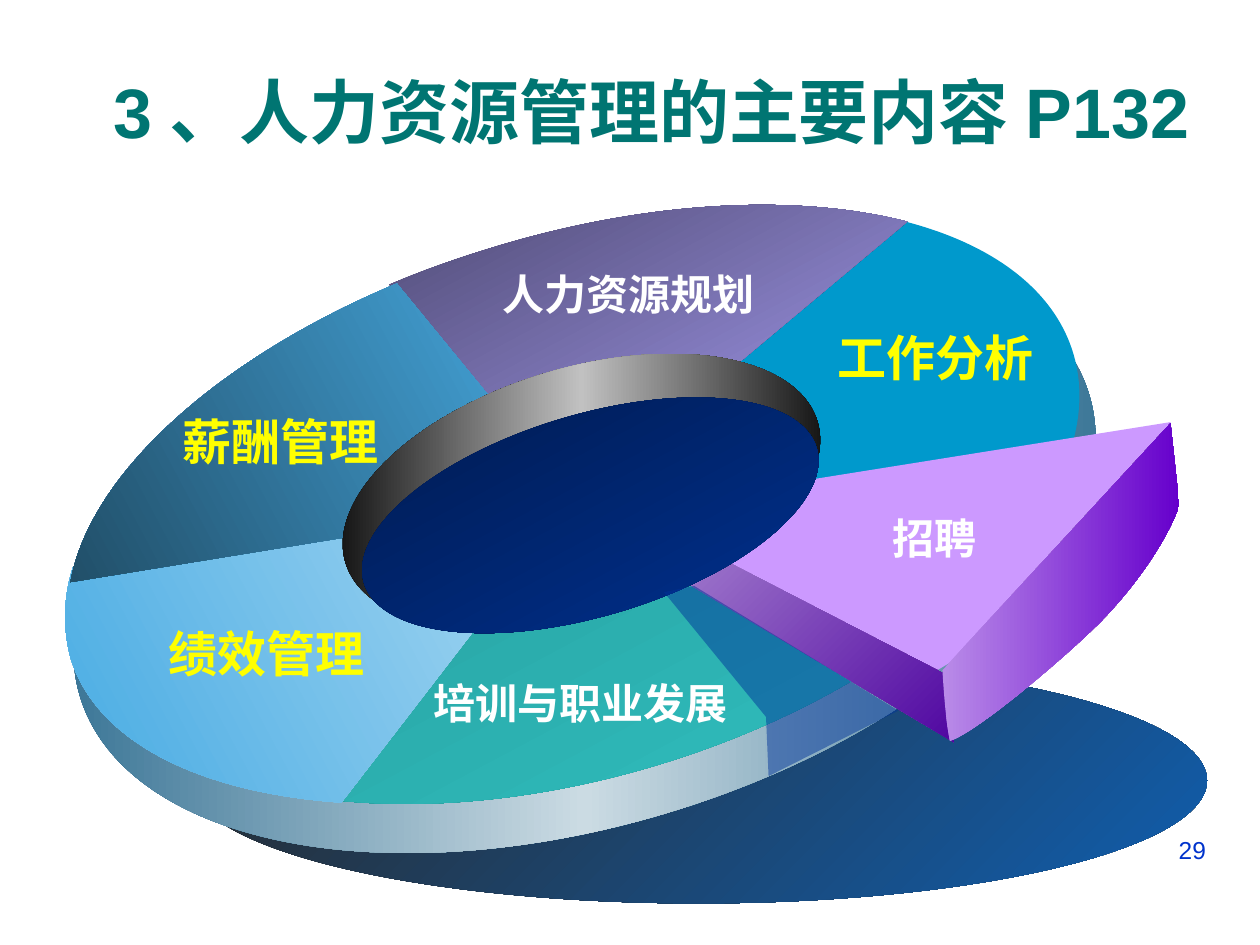
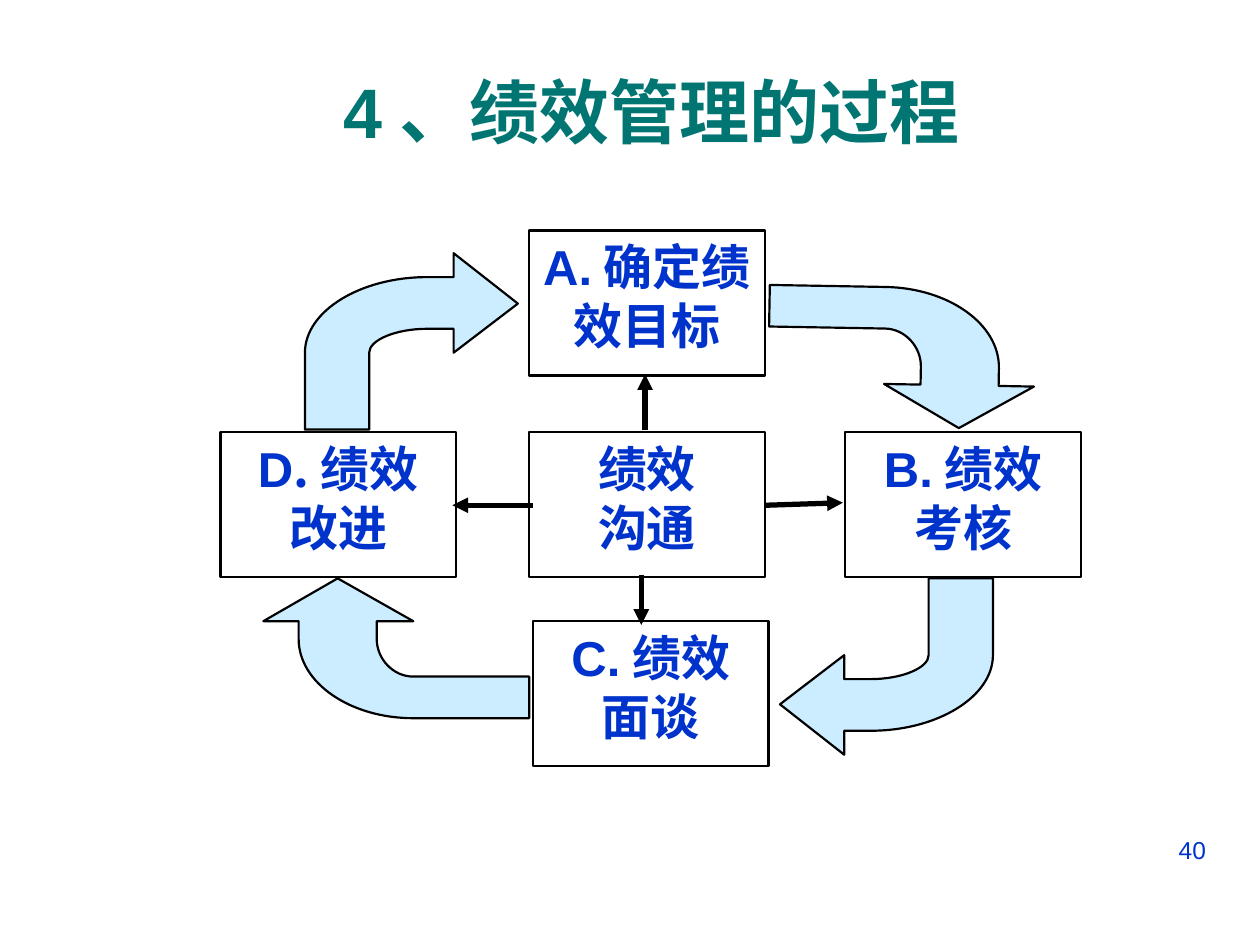
from pptx import Presentation
from pptx.dml.color import RGBColor
from pptx.enum.shapes import MSO_CONNECTOR, MSO_SHAPE
from pptx.enum.text import MSO_ANCHOR, MSO_AUTO_SIZE, PP_ALIGN
from pptx.oxml.ns import qn
from pptx.util import Cm, Pt
from lxml.etree import SubElement

TEAL = RGBColor(0x00, 0x75, 0x72)
BLUE = RGBColor(0x00, 0x33, 0xCC)
NAVY = RGBColor(0x00, 0x33, 0x99)
SKY = RGBColor(0x00, 0x99, 0xCC)
LILAC = RGBColor(0xCC, 0x99, 0xFF)
PALE = RGBColor(0xCC, 0xEC, 0xFF)
YELLOW = RGBColor(0xFF, 0xFF, 0x00)
WHITE = RGBColor(0xFF, 0xFF, 0xFF)
BLACK = RGBColor(0x00, 0x00, 0x00)

LATIN, LABEL, CJK = "Arial", "DejaVu Sans", "Noto Sans CJK JP"
TITLE_FMT = {"size": Pt(40), "bold": True, "name": LATIN}
NUMBER_FMT = {"size": Pt(14), "name": LATIN}
BOX_FMT = {"size": Pt(28), "bold": True}

TILT = 343.4
HUB = (4.56, 3.97)
SHADOW = ((1.51, 5.22, 8.07, 1.95), 0, ("292929", "105EAE"), 45)
RIM = ((0.46, 2.11, 8.36, 4.44), TILT, ("29698D", "CBDBE3", "29698D"), 0)
DISC = ((0.54, 1.87, 8.07, 4.3), TILT, ("208282", "33CCCC"), 62)
HOLE_WALL = ((2.66, 2.92, 3.91, 1.97), TILT, ("000000", "C1C1C1", "000000"), 0)
HOLE = ((2.81, 3.29, 3.75, 1.6), TILT, ("001847", "003399"), 62)

WEDGES = [
    ([(7.11, 1.74), (7.87, 1.92, 8.37, 2.3, 8.52, 2.81),
      (8.6, 3.08, 8.58, 3.38, 8.45, 3.7), HUB], SKY),
    ([(0.58, 4.5), (0.5, 4.75, 0.5, 4.99, 0.56, 5.22),
      (0.76, 5.87, 1.55, 6.29, 2.71, 6.37), HUB], (("ABD9F2", "47ABE3"), 152)),
    ([(3.09, 2.26), (3.37, 2.14, 3.66, 2.04, 3.96, 1.95),
      (5.13, 1.6, 6.31, 1.53, 7.2, 1.76), HUB], (("4F4A73", "AAA0F8"), 62)),
    ([(3.15, 2.25), (1.72, 2.85, 0.71, 3.77, 0.56, 4.62), HUB],
     (("47ABE3", "214F69"), 152)),
]
SLICE_TOP = [(9.29, 3.35), (9.11, 4.02, 8.43, 4.74, 7.42, 5.33), (4.97, 4.04)]
SLICE_SIDE = [(7.48, 5.34), (7.57, 5.89), (5.17, 4.46), (5.02, 4.07)]
SLICE_EDGE = [(7.48, 5.32), (9.29, 3.36), (9.36, 4.01),
              (9.27, 4.27, 9.04, 4.62, 8.74, 4.93),
              (8.43, 5.24, 7.75, 5.81, 7.54, 5.88), (7.5, 5.71, 7.48, 5.32, 7.48, 5.32)]
GAP_SHADE = [(5.27, 4.7), (6.08, 5.69), (6.1, 6.16), (7.13, 5.64), (5.51, 4.65)]

LABELS = [
    ("薪酬管理", (1.35, 3.22, 1.75, 0.57), 28, YELLOW),
    ("人力资源规划", (3.89, 2.08, 2.2, 0.5), 24, WHITE),
    ("工作分析", (6.55, 2.55, 1.75, 0.57), 28, YELLOW),
    ("培训与职业发展", (3.34, 5.33, 2.53, 0.5), 24, WHITE),
    ("绩效管理", (1.24, 4.9, 1.75, 0.57), 28, YELLOW),
    ("招聘", (6.98, 4.02, 0.88, 0.5), 24, WHITE),
]

BOX_W, BOX_H = 1.87, 1.15
STEPS = [
    ((4.2, 1.83), [[("A.", LATIN), ("确定绩效目标", CJK)]]),
    ((6.71, 3.43), [[("B.", LATIN), ("绩效", CJK)], [("考核", CJK)]]),
    ((4.2, 3.43), [[("绩效", CJK)], [("沟通", CJK)]]),
    ((1.75, 3.43), [[("D", LATIN), (".绩效", CJK)], [("改进", CJK)]]),
    ((4.23, 4.93), [[("C.", LATIN), ("绩效", CJK)], [("面谈", CJK)]]),
]
TURN_UP = [(4.11, 2.41), (3.6, 2.01), (3.6, 2.2), (3.39, 2.2),
           (2.86, 2.2, 2.42, 2.47, 2.42, 2.8), (2.42, 3.41), (2.93, 3.41), (2.93, 2.8),
           (2.93, 2.7, 3.14, 2.61, 3.39, 2.61), (3.6, 2.61), (3.6, 2.8)]
TURN_BACK = [(2.68, 4.59), (2.09, 4.93), (2.37, 4.93), (2.37, 5.07),
             (2.37, 5.42, 2.78, 5.7, 3.28, 5.7), (4.2, 5.7), (4.2, 5.37), (3.28, 5.37),
             (3.12, 5.37, 2.99, 5.23, 2.99, 5.07), (2.99, 4.93), (3.28, 4.93)]
SPOKES = [(5.12, 3.41, 5.12, 2.97), (5.09, 4.56, 5.09, 4.96),
          (6.08, 4.01, 6.69, 3.99), (4.23, 4.01, 3.59, 4.01)]


def inches(*values):
    return [Cm(v * 2.54) for v in values]


def style(r, fmt, color):
    for key, value in fmt.items():
        setattr(r.font, key, value)
    r.font.color.rgb = color
    SubElement(r.font._element, qn("a:ea")).set("typeface", CJK)


def paint(sp, fill, line=None):
    sp.shadow.inherit = False
    if fill is None:
        sp.fill.background()
    elif isinstance(fill, RGBColor):
        sp.fill.solid()
        sp.fill.fore_color.rgb = fill
    else:
        colors, angle = fill
        sp.fill.gradient()
        grad = sp._element.spPr.find(qn("a:gradFill"))
        grad.set("rotWithShape", "0")
        stops = grad.find(qn("a:gsLst"))
        for stop in list(stops):
            stops.remove(stop)
        for i, color in enumerate(colors):
            stop = SubElement(stops, qn("a:gs"), pos=str(i * 100000 // (len(colors) - 1)))
            SubElement(stop, qn("a:srgbClr"), val=color)
        grad.find(qn("a:lin")).set("ang", str(angle * 60000))
    if line is None:
        sp.line.fill.background()
    else:
        sp.line.color.rgb = line
        sp.line.width = Pt(1.25)


def outline(s, parts, fill, line=None):
    points = [inches(*part[i:i + 2]) for part in parts for i in range(0, len(part), 2)]
    builder = s.shapes.build_freeform(*points[0], scale=1.0)
    builder.add_line_segments(points[1:], close=True)
    sp = builder.convert_to_shape()
    geometry = next(sp._element.iter(qn("a:path")))
    segments = iter(geometry.findall(qn("a:lnTo")))
    for part in parts[1:]:
        first = next(segments)
        if len(part) == 6:
            curve = SubElement(geometry, qn("a:cubicBezTo"))
            first.addprevious(curve)
            for segment in (first, next(segments), next(segments)):
                curve.append(segment[0])
                geometry.remove(segment)
    paint(sp, fill, line)
    return sp


def ellipse(s, box, rotation, colors, angle):
    sp = s.shapes.add_shape(MSO_SHAPE.OVAL, *inches(*box))
    sp.rotation = rotation
    paint(sp, (colors, angle))


def write(tf, paragraphs, fmt, color, align):
    for i, runs in enumerate(paragraphs):
        p = tf.paragraphs[0] if i == 0 else tf.add_paragraph()
        p.alignment = align
        for text, font in runs:
            r = p.add_run()
            r.text = text
            style(r, {**fmt, "name": font}, color)


def text_box(s, text, box, fmt, color, align, wrap):
    tf = s.shapes.add_textbox(*inches(*box)).text_frame
    tf.word_wrap = wrap
    tf.auto_size = MSO_AUTO_SIZE.NONE if wrap else MSO_AUTO_SIZE.SHAPE_TO_FIT_TEXT
    write(tf, [[(text, fmt["name"])]], fmt, color, align)


def new_slide(prs, title, number):
    s = prs.slides.add_slide(prs.slide_layouts[5])
    sp = s.shapes.title
    sp.left, sp.top, sp.width, sp.height = inches(0.5, 0.42, 9.34, 0.92)
    tf = sp.text_frame
    for key, value in {"word_wrap": True, "auto_size": MSO_AUTO_SIZE.NONE,
                       "vertical_anchor": MSO_ANCHOR.MIDDLE}.items():
        setattr(tf, key, value)
    write(tf, [[(title, LATIN)]], TITLE_FMT, TEAL, PP_ALIGN.CENTER)
    text_box(s, number, (7.17, 6.58, 2.5, 0.52), NUMBER_FMT, BLUE, PP_ALIGN.RIGHT, True)
    return s


def mirror(parts, *sums):
    return [tuple(sums[i % 2] - v for i, v in enumerate(part)) for part in parts]


def content_slide(prs):
    s = new_slide(prs, "3、人力资源管理的主要内容P132", "29")
    for oval in (SHADOW, RIM, DISC):
        ellipse(s, *oval)
    for parts, fill in WEDGES:
        outline(s, parts, fill)
    ellipse(s, *HOLE_WALL)
    outline(s, SLICE_TOP, LILAC)
    outline(s, SLICE_SIDE, (("AF8ED4", "5007A1"), 45))
    ellipse(s, *HOLE)
    outline(s, SLICE_EDGE, (("B98BE8", "6600CC"), 0))
    for text, box, size, color in LABELS:
        fmt = {"size": Pt(size), "bold": True, "name": LABEL}
        text_box(s, text, box, fmt, color, PP_ALIGN.CENTER, False)
    shade = outline(s, GAP_SHADE, NAVY)
    color = shade._element.spPr.find(qn("a:solidFill"))[0]
    SubElement(color, qn("a:alpha"), val="49000")


def process_slide(prs):
    s = new_slide(prs, "4、绩效管理的过程", "40")
    for parts, rotation in ((TURN_UP, 0), (mirror(TURN_BACK, 10.3, 7.98), 1),
                            (mirror(TURN_UP, 10.3, 8), 0), (TURN_BACK, 0)):
        outline(s, parts, PALE, BLACK).rotation = rotation
    for (x, y), paragraphs in STEPS:
        sp = s.shapes.add_shape(MSO_SHAPE.RECTANGLE, *inches(x, y, BOX_W, BOX_H))
        paint(sp, None, BLACK)
        tf = sp.text_frame
        tf.word_wrap = True
        tf.vertical_anchor = MSO_ANCHOR.TOP
        write(tf, paragraphs, BOX_FMT, BLUE, PP_ALIGN.CENTER)
    for ends in SPOKES:
        c = s.shapes.add_connector(MSO_CONNECTOR.STRAIGHT, *inches(*ends))
        c.line.color.rgb = BLACK
        c.line.width = Pt(3)
        SubElement(c.line._get_or_add_ln(), qn("a:tailEnd"), type="triangle")
        SubElement(c._element.spPr, qn("a:effectLst"))


def main():
    prs = Presentation()
    prs.slide_width, prs.slide_height = inches(10, 7.5)
    content_slide(prs)
    process_slide(prs)
    prs.save("out.pptx")


if __name__ == "__main__":
    main()
